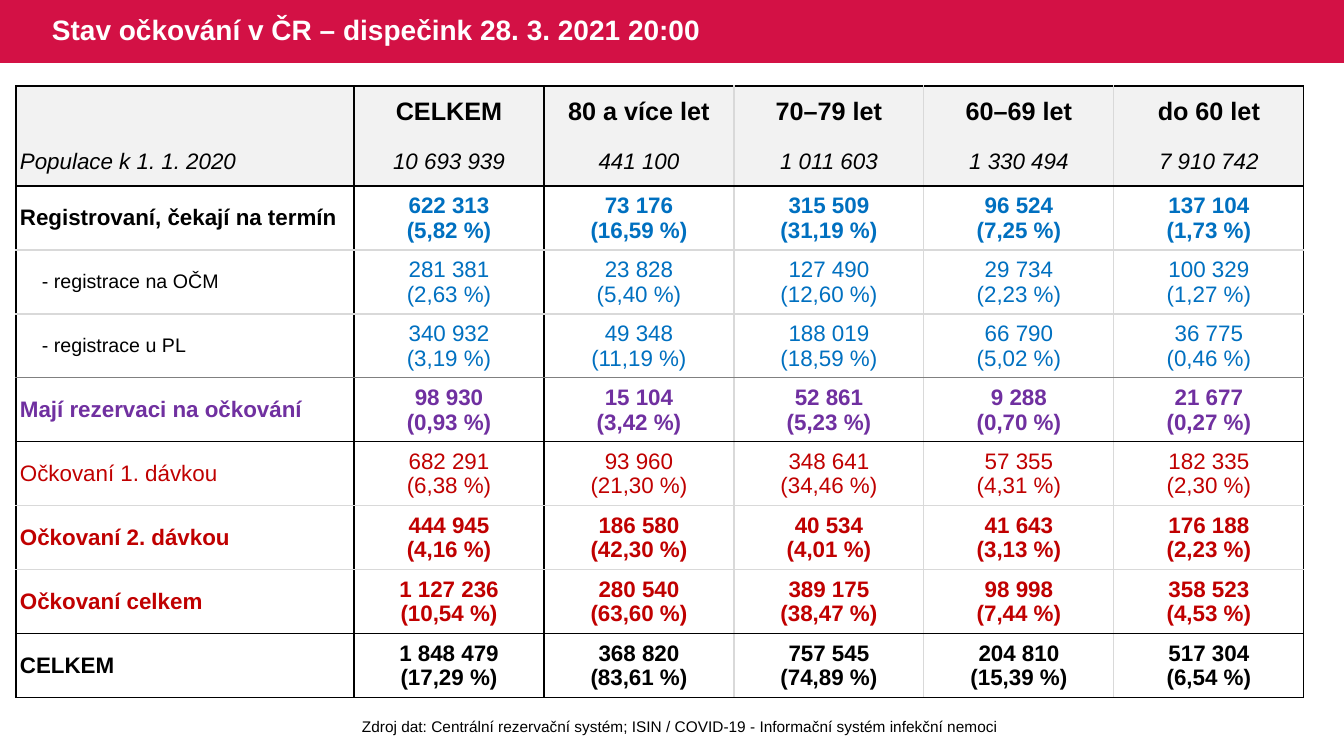
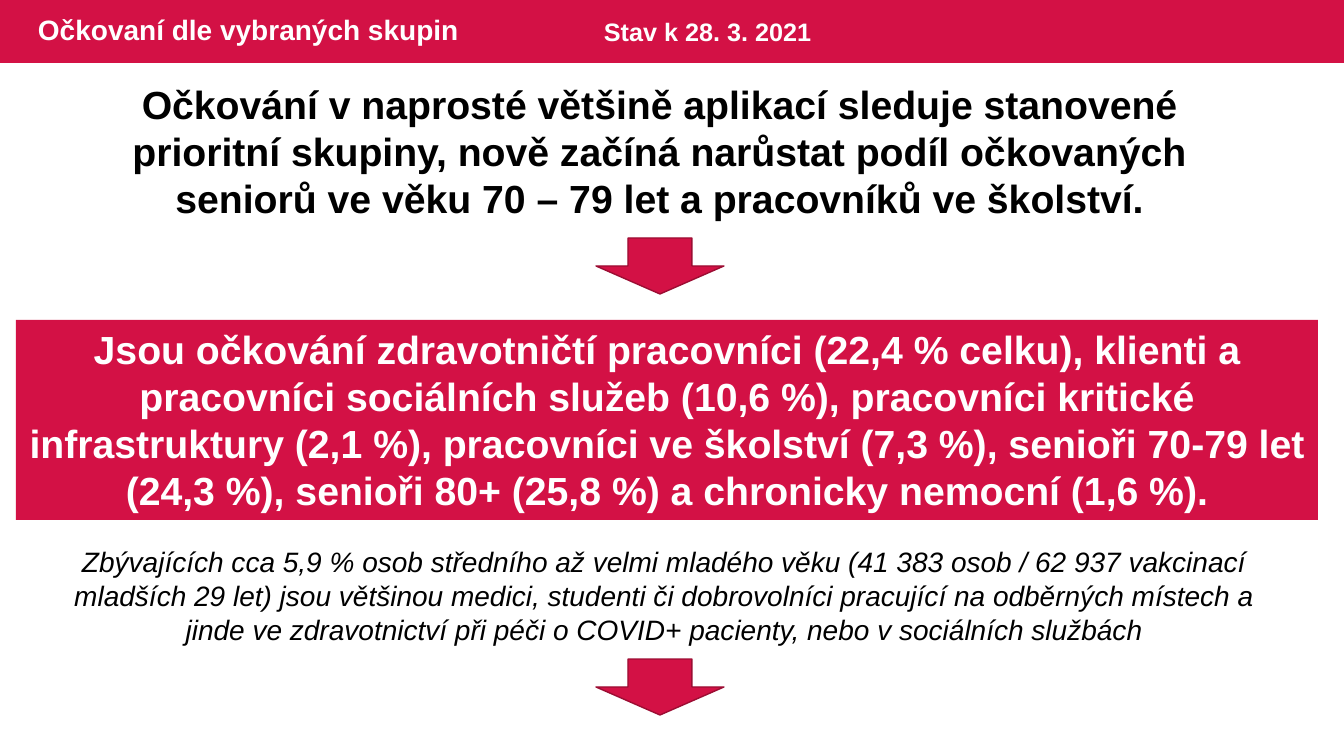
import pptx
import pptx.dml.color
import pptx.enum.shapes
import pptx.enum.text
import pptx.oxml
import pptx.oxml.ns
import pptx.util

RGBColor = pptx.dml.color.RGBColor
ALIGN = pptx.enum.text.PP_ALIGN
ANCHOR = pptx.enum.text.MSO_ANCHOR
SHAPE = pptx.enum.shapes.MSO_SHAPE

CRIMSON = RGBColor(0xD3, 0x11, 0x45)
DARK_CRIMSON = RGBColor(0x9C, 0x0D, 0x33)
WHITE = RGBColor(0xFF, 0xFF, 0xFF)
BLACK = RGBColor(0, 0, 0)
HEADER_GRAY = RGBColor(0xF2, 0xF2, 0xF2)
LIGHT_GRAY = RGBColor(0xD9, 0xD9, 0xD9)
MID_GRAY = RGBColor(0x80, 0x80, 0x80)
BLUE = RGBColor(0x00, 0x70, 0xC0)
PURPLE = RGBColor(0x70, 0x30, 0xA0)
RED = RGBColor(0xC0, 0x00, 0x00)

FONT = "Arial"
PAGE_WIDTH, PAGE_HEIGHT, BAND_HEIGHT = 1344, 756, 63

AGE_GROUPS = ["CELKEM", "80 a více let", "70–79 let", "60–69 let", "do 60 let"]
POPULATION = ["10 693 939", "441 100", "1 011 603", "1 330 494", "7 910 742"]

# label, colour, bold, is a sub-row, values with percentages
STATUS_ROWS = [
    ("Registrovaní, čekají na termín", BLUE, True, False,
     ["622 313\n(5,82 %)", "73 176\n(16,59 %)", "315 509\n(31,19 %)",
      "96 524\n(7,25 %)", "137 104\n(1,73 %)"]),
    ("- registrace na OČM", BLUE, False, True,
     ["281 381\n(2,63 %)", "23 828\n(5,40 %)", "127 490\n(12,60 %)",
      "29 734\n(2,23 %)", "100 329\n(1,27 %)"]),
    ("- registrace u PL", BLUE, False, True,
     ["340 932\n(3,19 %)", "49 348\n(11,19 %)", "188 019\n(18,59 %)",
      "66 790\n(5,02 %)", "36 775\n(0,46 %)"]),
    ("Mají rezervaci na očkování", PURPLE, True, False,
     ["98 930\n(0,93 %)", "15 104\n(3,42 %)", "52 861\n(5,23 %)",
      "9 288\n(0,70 %)", "21 677\n(0,27 %)"]),
    ("Očkovaní 1. dávkou", RED, False, False,
     ["682 291\n(6,38 %)", "93 960\n(21,30 %)", "348 641\n(34,46 %)",
      "57 355\n(4,31 %)", "182 335\n(2,30 %)"]),
    ("Očkovaní 2. dávkou", RED, True, False,
     ["444 945\n(4,16 %)", "186 580\n(42,30 %)", "40 534\n(4,01 %)",
      "41 643\n(3,13 %)", "176 188\n(2,23 %)"]),
    ("Očkovaní celkem", RED, True, False,
     ["1 127 236\n(10,54 %)", "280 540\n(63,60 %)", "389 175\n(38,47 %)",
      "98 998\n(7,44 %)", "358 523\n(4,53 %)"]),
    ("CELKEM", BLACK, True, False,
     ["1 848 479\n(17,29 %)", "368 820\n(83,61 %)", "757 545\n(74,89 %)",
      "204 810\n(15,39 %)", "517 304\n(6,54 %)"]),
]

COLUMN_WIDTHS = [338] + [190] * 5
ROW_HEIGHTS = [52, 48] + [64] * len(STATUS_ROWS)
COLUMN_EDGES = [BLACK] * 3 + [LIGHT_GRAY] * 3 + [BLACK]
ROW_EDGES = [BLACK, None, BLACK, LIGHT_GRAY, LIGHT_GRAY, MID_GRAY,
             BLACK, LIGHT_GRAY, LIGHT_GRAY, BLACK, BLACK]


def px(length):
    return pptx.util.Emu(round(length * 914400 / 100.8))


def write(frame, text, size=16, color=BLACK, bold=False, italic=False,
          align=ALIGN.LEFT, spacing=None):
    """Fill the first paragraph of a text frame; a newline is a line break."""
    para = frame.paragraphs[0]
    para.alignment = align
    if spacing:
        para.line_spacing = spacing
    for number, line in enumerate(text.split("\n")):
        if number:
            para.add_line_break()
        span = para.add_run()
        span.text = line
        span.font.name = FONT
        span.font.size = pptx.util.Pt(size)
        span.font.bold = bold
        span.font.italic = italic
        span.font.color.rgb = color


def set_borders(cell, edges):
    """Draw left, right, top and bottom edges; None hides an edge."""
    properties = cell._tc.get_or_add_tcPr()
    for position, (side, color) in enumerate(zip("LRTB", edges)):
        paint = (f'<a:solidFill><a:srgbClr val="{color}"/></a:solidFill>'
                 if color is not None else "<a:noFill/>")
        line = pptx.oxml.parse_xml(
            f'<a:ln{side} {pptx.oxml.ns.nsdecls("a")} w="12700">'
            f'{paint}</a:ln{side}>')
        properties.insert(position, line)


class Deck:
    """Holds the presentation, its shared style and the current page."""

    def __init__(self):
        self.deck = pptx.Presentation()
        self.deck.slide_width = px(PAGE_WIDTH)
        self.deck.slide_height = px(PAGE_HEIGHT)
        self.page = None

    def new_page(self, title, left):
        self.page = self.deck.slides.add_slide(self.deck.slide_layouts[6])
        self.shape(SHAPE.RECTANGLE, 0, 0, PAGE_WIDTH, BAND_HEIGHT)
        self.text(title, left, 0, 727, BAND_HEIGHT, anchor=ANCHOR.MIDDLE,
                  size=20, color=WHITE, bold=True, spacing=0.9)

    def shape(self, kind, left, top, width, height, outline=None):
        shape = self.page.shapes.add_shape(
            kind, px(left), px(top), px(width), px(height))
        shape.shadow.inherit = False
        shape.fill.solid()
        shape.fill.fore_color.rgb = CRIMSON
        if outline is None:
            shape.line.fill.background()
        else:
            shape.line.color.rgb = outline
            shape.line.width = pptx.util.Pt(1)
        return shape

    def text(self, text, left, top, width, height, anchor=ANCHOR.TOP, **style):
        box = self.page.shapes.add_textbox(
            px(left), px(top), px(width), px(height))
        box.text_frame.word_wrap = True
        box.text_frame.vertical_anchor = anchor
        write(box.text_frame, text, **style)

    def banner(self, text, left, top, width, height, **style):
        frame = self.shape(SHAPE.RECTANGLE, left, top, width, height).text_frame
        frame.word_wrap = True
        frame.vertical_anchor = ANCHOR.TOP
        write(frame, text, color=WHITE, **style)

    def down_arrow(self, top):
        self.shape(SHAPE.DOWN_ARROW, 596, top, 128, 56, outline=DARK_CRIMSON)

    def table(self, left, top):
        """Add the bordered grid without any text."""
        table = self.page.shapes.add_table(
            len(ROW_HEIGHTS), len(COLUMN_WIDTHS), px(left), px(top),
            px(sum(COLUMN_WIDTHS)), px(sum(ROW_HEIGHTS))).table
        table.first_row = table.horz_banding = False
        for column, width in zip(table.columns, COLUMN_WIDTHS):
            column.width = px(width)
        for r, height in enumerate(ROW_HEIGHTS):
            table.rows[r].height = px(height)
            for c in range(len(COLUMN_WIDTHS)):
                cell = table.cell(r, c)
                if r < 2:
                    cell.fill.solid()
                    cell.fill.fore_color.rgb = HEADER_GRAY
                else:
                    cell.fill.background()
                set_borders(cell, COLUMN_EDGES[c:c + 2] + ROW_EDGES[r:r + 2])
        return table

    def cell(self, table, row, column, text, margin=4, **style):
        cell = table.cell(row, column)
        cell.vertical_anchor = ANCHOR.MIDDLE
        cell.margin_left = px(margin)
        cell.margin_right = px(4)
        cell.margin_top = cell.margin_bottom = 0
        align = ALIGN.CENTER if column else ALIGN.LEFT
        write(cell.text_frame, text, align=align, **style)

    def save(self):
        self.deck.save("out.pptx")


def add_status_page(deck):
    deck.new_page("Stav očkování v ČR – dispečink 28. 3. 2021 20:00", 42)
    table = deck.table(16, 86)
    for column, group in enumerate(AGE_GROUPS, 1):
        deck.cell(table, 0, column, group, size=18, bold=True)
    for column, text in enumerate(["Populace k 1. 1. 2020"] + POPULATION):
        deck.cell(table, 1, column, text, italic=True)
    for row, (label, color, bold, is_sub, values) in enumerate(STATUS_ROWS, 2):
        deck.cell(table, row, 0, label, margin=26 if is_sub else 4,
                  size=14 if is_sub else 16, bold=bold,
                  color=BLACK if color == BLUE else color)
        for column, value in enumerate(values, 1):
            deck.cell(table, row, column, value, color=color, bold=bold)
    deck.text("Zdroj dat: Centrální rezervační systém; ISIN / COVID-19 - "
              "Informační systém infekční nemoci", 352, 712, 680, 29, size=11)


def add_groups_page(deck):
    deck.new_page("Očkovaní dle vybraných skupin", 28)
    deck.text("Stav k 28. 3. 2021", 594, 11, 298, 40,
              size=18, color=WHITE, bold=True)
    deck.text("Očkování v naprosté většině aplikací sleduje stanovené prioritní "
              "skupiny, nově začíná narůstat podíl očkovaných seniorů ve věku "
              "70 – 79 let a pracovníků ve školství.",
              71, 75, 1177, 152, size=28, bold=True, align=ALIGN.CENTER)
    deck.down_arrow(238)
    deck.banner("Jsou očkování zdravotničtí pracovníci (22,4 % celku), klienti a "
                "pracovníci sociálních služeb (10,6 %), pracovníci kritické "
                "infrastruktury (2,1 %), pracovníci ve školství (7,3 %), senioři "
                "70-79 let (24,3 %), senioři 80+ (25,8 %) a chronicky nemocní "
                "(1,6 %).", 16, 320, 1302, 200,
                size=28, bold=True, align=ALIGN.CENTER)
    deck.text("Zbývajících cca 5,9 % osob středního až velmi mladého věku "
              "(41 383 osob / 62 937 vakcinací mladších 29 let) jsou většinou "
              "medici, studenti či dobrovolníci pracující na odběrných místech a "
              "jinde ve zdravotnictví při péči o COVID+ pacienty, nebo v "
              "sociálních službách",
              31, 540, 1267, 112, size=20, italic=True, align=ALIGN.CENTER)
    deck.down_arrow(659)


def main():
    deck = Deck()
    add_status_page(deck)
    add_groups_page(deck)
    deck.save()


if __name__ == "__main__":
    main()
